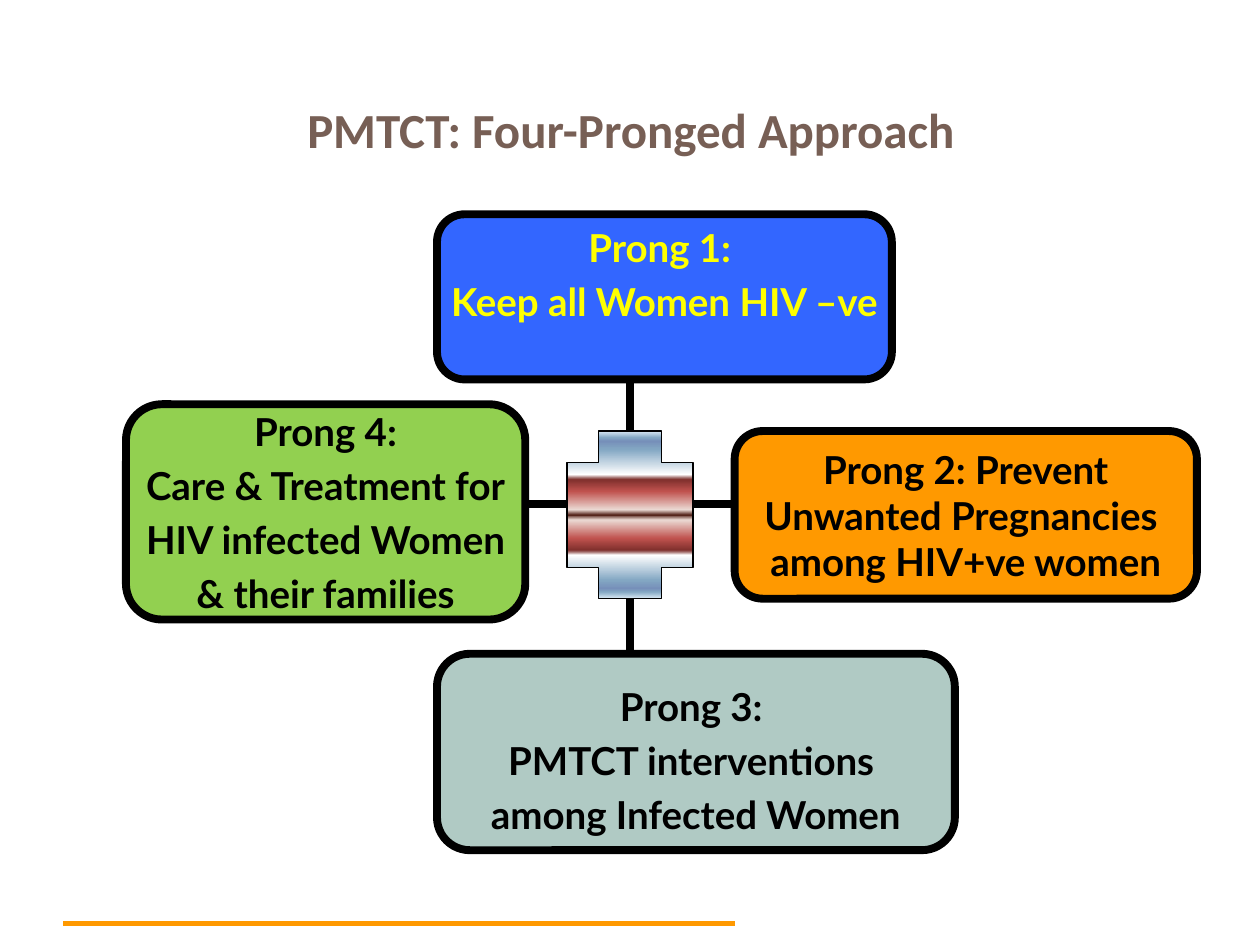
import pptx
import pptx.util
import pptx.dml.color
import pptx.enum.shapes
import pptx.enum.text
import pptx.oxml.ns
import lxml.etree

Cm, Pt = pptx.util.Cm, pptx.util.Pt
SHAPE = pptx.enum.shapes.MSO_SHAPE
ALIGN = pptx.enum.text.PP_ALIGN
qn = pptx.oxml.ns.qn

COLORS = {
    "title": "775F55", "black": "000000", "yellow": "FFFF00", "blue": "3366FF",
    "orange": "FF9900", "green": "92D050", "sage": "B0CAC4",
}

# Content: boxes in cm; shift moves the text block down (or up, if negative)
TITLE = "PMTCT: Four-Pronged Approach"
PRONGS = [
    dict(lines=["Prong 3: ", "PMTCT interventions ", "among Infected Women"],
         box=(8.81, 13.18, 10.44, 3.96), fill="sage", shift=0.16),
    dict(lines=["Prong 2: Prevent", "Unwanted Pregnancies ", "among HIV+ve women"],
         box=(14.81, 8.69, 9.32, 3.38), fill="orange", gap=0),
    dict(lines=["Prong 4:", "Care & Treatment for", "HIV infected Women", "& their families"],
         box=(2.54, 8.15, 8.05, 4.34), fill="green"),
    dict(lines=["Prong 1: ", "Keep all Women HIV –ve"],
         box=(8.81, 4.32, 9.17, 3.33), fill="blue", color="yellow", shift=-0.46),
]
HUB = (11.43, 8.69, 2.54, 3.38)
# Start, end and the hub side joined: (is it the start?, site)
SPOKES = [
    ((12.7, 8.69), (12.7, 7.62), (True, 0)),
    ((11.43, 10.16), (10.59, 10.16), None),
    ((12.7, 13.13), (12.7, 12.07), (False, 2)),
    ((14.81, 10.16), (13.97, 10.16), None),
]
FOOTER = ((1.27, 18.62), (14.81, 18.62))
# Upper half of the hub gradient; the lower half mirrors it
HALF = [(0, "DCEBF5"), (4, "83A7C3"), (6, "768FB9"), (11, "83A7C3"),
        (26, "FFFFFF"), (28, "9C6563"), (29, "80302D"), (36, "C0524E"),
        (47, "EBDAD4")]
STOPS = HALF + [(50, "55261C")] + [(100 - pos, c) for pos, c in reversed(HALF)]


def rgb(name):
    return pptx.dml.color.RGBColor.from_string(COLORS[name])


def set_text(tf, lines, size=22, font="Lato", color="black", align=ALIGN.CENTER,
             gap=4.4, wrap=False):
    tf.word_wrap = wrap
    tf.vertical_anchor = pptx.enum.text.MSO_ANCHOR.MIDDLE
    for i, line in enumerate(lines):
        p = tf.paragraphs[0] if i == 0 else tf.add_paragraph()
        p.alignment = align
        p.space_before = Pt(gap if i else 0)
        r = p.add_run()
        r.text = line
        r.font.size, r.font.name, r.font.bold = Pt(size), font, True
        r.font.color.rgb = rgb(color)


def add_shape(kind, box, adjust, width):
    sp = slide.shapes.add_shape(kind, *map(Cm, box))
    sp.adjustments[0] = adjust
    sp.shadow.inherit = False
    sp.line.color.rgb = rgb("black")
    sp.line.width = Pt(width)
    return sp


def add_line(start, end, color="black", width=4.5):
    line = slide.shapes.add_connector(
        pptx.enum.shapes.MSO_CONNECTOR.STRAIGHT, *map(Cm, start + end))
    line.line.color.rgb = rgb(color)
    line.line.width = Pt(width)
    lxml.etree.SubElement(line._element.spPr, qn("a:effectLst"))
    return line


prs = pptx.Presentation()
prs.slide_width, prs.slide_height = Cm(25.4), Cm(19.05)
slide = prs.slides.add_slide(prs.slide_layouts[5])

# Title
title = slide.shapes.title
title.left, title.top, title.width, title.height = map(Cm, (5.94, 1.85, 19.46, 1.5))
set_text(title.text_frame, [TITLE], size=28, font="Calibri", color="title",
         align=ALIGN.LEFT, wrap=True)

# Central cross with its gradient
hub = add_shape(SHAPE.CROSS, HUB, 0.25, 0.75)
hub.fill.gradient()
hub.fill.gradient_angle = 270
stops = hub._element.spPr.find(".//" + qn("a:gsLst"))
for old in list(stops):
    stops.remove(old)
for pos, color in STOPS:
    gs = lxml.etree.SubElement(stops, qn("a:gs"), pos=str(pos * 1000))
    lxml.etree.SubElement(gs, qn("a:srgbClr"), val=color)

# Prong boxes
for prong in PRONGS:
    sp = add_shape(SHAPE.ROUNDED_RECTANGLE, prong["box"], 0.167, 4.5)
    sp.fill.solid()
    sp.fill.fore_color.rgb = rgb(prong["fill"])
    tf, shift = sp.text_frame, prong.get("shift", 0)
    tf.margin_top = Cm(0.13 + 2 * max(shift, 0))
    tf.margin_bottom = Cm(0.13 + 2 * max(-shift, 0))
    set_text(tf, prong["lines"], color=prong.get("color", "black"),
             gap=prong.get("gap", 4.4))

# Spokes between the cross and the boxes
for start, end, joint in SPOKES:
    line = add_line(start, end)
    if joint:
        at_start, site = joint
        (line.begin_connect if at_start else line.end_connect)(hub, site)

# Footer rule
add_line(*FOOTER, color="orange", width=3)

prs.save("out.pptx")
